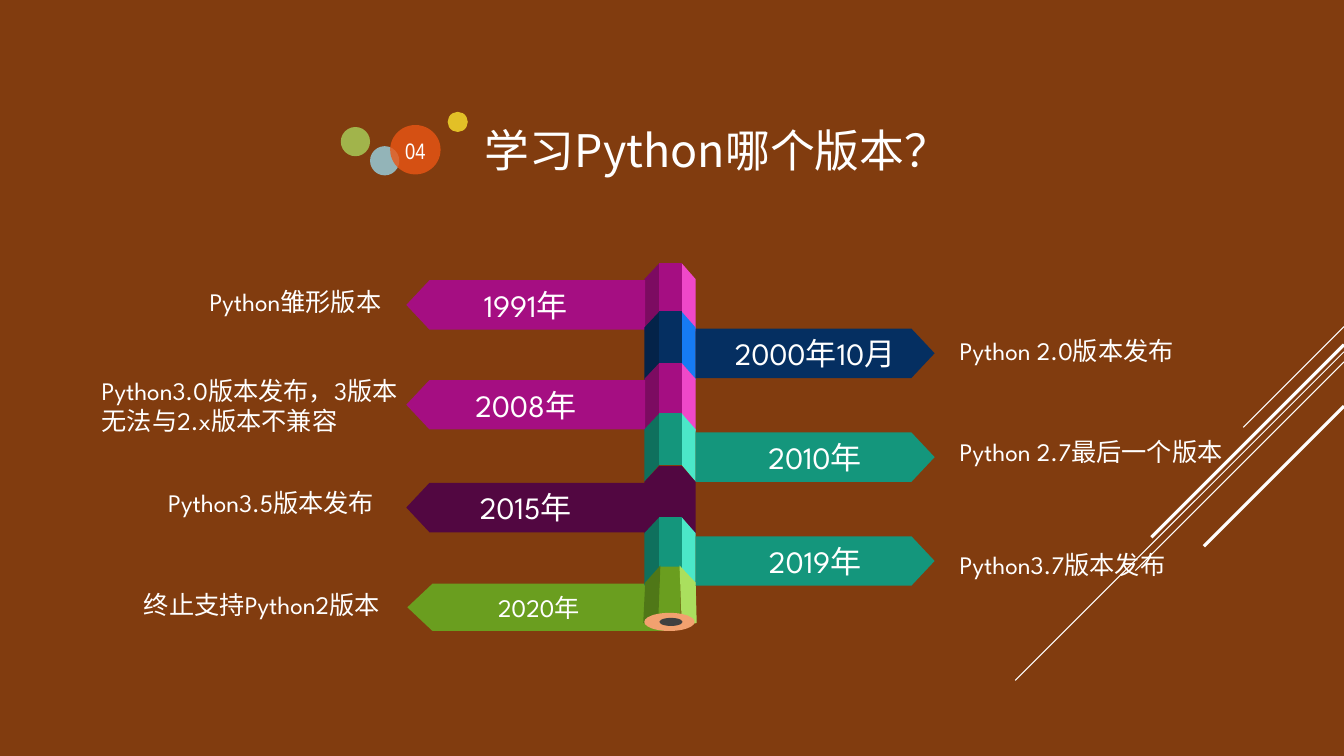
from lxml.etree import SubElement
from pptx import Presentation
from pptx.dml.color import RGBColor
from pptx.enum.shapes import MSO_CONNECTOR, MSO_SHAPE
from pptx.enum.text import MSO_ANCHOR as ANCHOR, MSO_AUTO_SIZE as AUTO, PP_ALIGN as ALIGN
from pptx.oxml.ns import qn
from pptx.util import Inches, Pt

SANS = "Noto Sans CJK SC"
LATIN = "League Spartan"
WHITE = "FFFFFF"
PURPLE = ("7C0B61", "A50E82", "EF48C9")
BLUE = ("042349", "052F61", "167BF3")
TEAL = ("0F705D", "14967C", "4BE7C8")
PLUM = ("520741",) * 3
GREEN = ("4F7717", "6A9E1F", "AADF5E")


def rgb(code):
    return RGBColor.from_string(code)


def write(sp, *runs, size=18, font=LATIN, color=WHITE, align=ALIGN.LEFT,
          anchor=ANCHOR.TOP, wrap=False, inset=(0.1, 0.05), auto=AUTO.NONE):
    tf = sp.text_frame
    tf.word_wrap, tf.auto_size, tf.vertical_anchor = wrap, auto, anchor
    tf.margin_left = tf.margin_right = Inches(inset[0])
    tf.margin_top = tf.margin_bottom = Inches(inset[1])
    p = tf.paragraphs[0]
    p.alignment = align
    for run in runs:
        content, face = run if isinstance(run, tuple) else (run, font)
        r = p.add_run()
        r.text = content
        r.font.size, r.font.name = Pt(size), face
        r.font.color.rgb = rgb(color)
        SubElement(r.font._element, qn("a:ea")).set("typeface", SANS)


class Deck:
    def __init__(self, background):
        self.prs = Presentation()
        self.prs.slide_width, self.prs.slide_height = Inches(13.33), Inches(7.5)
        self.slide = self.prs.slides.add_slide(self.prs.slide_layouts[5])
        self.shapes = self.slide.shapes
        fill = self.slide.background.fill
        fill.solid()
        fill.fore_color.rgb = rgb(background)

    def paint(self, sp, color, alpha=None):
        sp.shadow.inherit = False
        sp.line.fill.background()
        sp.fill.solid()
        sp.fill.fore_color.rgb = rgb(color)
        if alpha:
            clr = sp._element.spPr.find(qn("a:solidFill"))[0]
            SubElement(clr, qn("a:alpha")).set("val", str(alpha * 1000))
        return sp

    def title(self, box, content):
        sp = self.shapes.title
        sp.left, sp.top, sp.width, sp.height = map(Inches, box)
        write(sp, content, size=32, font=SANS)

    def label(self, box, *runs, **fmt):
        sp = self.shapes.add_textbox(*map(Inches, box))
        write(sp, *runs, auto=AUTO.SHAPE_TO_FIT_TEXT, **fmt)

    def line(self, x1, y1, x2, y2, width):
        s = self.shapes.add_connector(MSO_CONNECTOR.STRAIGHT, *map(Inches, (x1, y1, x2, y2)))
        s.line.color.rgb, s.line.width = rgb(WHITE), Pt(width)
        SubElement(s._element.spPr, qn("a:effectLst"))

    def ellipse(self, box, color, alpha=None):
        self.paint(self.shapes.add_shape(MSO_SHAPE.OVAL, *map(Inches, box)), color, alpha)

    def polygon(self, points, color):
        (x, y), *rest = [(Inches(a), Inches(b)) for a, b in points]
        builder = self.shapes.build_freeform(x, y)
        builder.add_line_segments(rest, close=True)
        return self.paint(builder.convert_to_shape(), color)

    def flag(self, base, tip, top, height, notch, color, content, size=22.2):
        shoulder = tip + notch if tip < base else tip - notch
        bottom = top + height
        sp = self.polygon([(base, top), (shoulder, top), (tip, top + height / 2),
                           (shoulder, bottom), (base, bottom)], color)
        write(sp, content, size=size, align=ALIGN.CENTER, anchor=ANCHOR.MIDDLE,
              inset=(0.13, 0.07))

    def segment(self, top, colors):
        left, inner_left, inner_right, right = 6.39, 6.54, 6.76, 6.9
        low = top + 0.51
        for outer, inner, color in ((left, inner_left, colors[0]), (right, inner_right, colors[2])):
            self.polygon([(inner, top), (inner, low), (outer, low + 0.17),
                          (outer, top + 0.16)], color)
        self.polygon([(inner_left, top), (inner_right, top), (inner_right, low),
                      (inner_left, low)], colors[1])

    def pencil_tip(self, colors):
        self.polygon([(6.54, 5.62), (6.75, 5.62), (6.75, 6.13), (6.7, 6.16),
                      (6.65, 6.17), (6.59, 6.16), (6.54, 6.13)], colors[1])
        self.polygon([(6.55, 5.61), (6.53, 6.13), (6.51, 6.16), (6.47, 6.19),
                      (6.43, 6.19), (6.38, 6.18), (6.4, 5.78)], colors[0])
        self.polygon([(6.74, 5.61), (6.76, 6.13), (6.79, 6.16), (6.83, 6.18),
                      (6.87, 6.19), (6.91, 6.18), (6.9, 5.78)], colors[2])
        self.ellipse((6.39, 6.08, 0.5, 0.18), "F2A16F")
        self.ellipse((6.54, 6.13, 0.23, 0.08), "404040")


def main():
    deck = Deck("813C0F")
    edge = 13.33
    for y, run, width in ((3.24, 1, 0.75), (3.49, 3.26, 0.75), (3.59, 2.07, 0.75),
                          (3.42, 1.91, 2.25), (4.03, 1.39, 2.25)):
        deck.line(edge, y, edge - run, y + run, width)

    deck.title((4.71, 1.17, 4.86, 0.64), "学习Python哪个版本？")
    for box, color in (((4.44, 1.11, 0.2, 0.2), "FBE22D"), ((3.38, 1.26, 0.29, 0.29), "A9D25A"),
                       ((3.67, 1.45, 0.29, 0.29), "98D2E3"), ((3.87, 1.24, 0.5, 0.49), "EA5514")):
        deck.ellipse(box, color, alpha=80)
    deck.label((3.94, 1.36, 0.36, 0.27), "04", size=16, font="Arial Narrow",
               align=ALIGN.CENTER, wrap=True, inset=(0, 0))

    deck.flag(6.65, 4.04, 5.79, 0.47, 0.25, GREEN[1], "2020年", size=18)
    releases = (
        ("1991年", 2.61, 2.78, PURPLE, "left"),
        ("2000年10月", 3.09, 3.26, BLUE, "right"),
        ("2008年", 3.6, 3.77, PURPLE, "left"),
        ("2010年", 4.1, 4.29, TEAL, "right"),
        ("2015年", 4.62, 4.79, PLUM, "left"),
        ("2019年", 5.13, 5.32, TEAL, "right"),
    )
    sides = {"left": (6.4, 4.03), "right": (6.9, 9.27)}
    for date, segment_top, flag_top, colors, side in releases:
        deck.segment(segment_top, colors)
        deck.flag(*sides[side], flag_top, 0.49, 0.23, colors[1], date)
    deck.pencil_tip(GREEN)

    for box, *runs in (
        ((1.98, 2.79, 2.05, 0.4), "Python雏形版本"),
        ((9.42, 3.28, 2.48, 0.4), "Python 2.0版本发布"),
        ((9.42, 4.28, 2.98, 0.4), "Python 2.7最后一个版本"),
        ((1.57, 4.79, 2.41, 0.4), "Python3.5版本发布"),
        ((9.42, 5.4, 2.41, 0.4), "Python3.7版本发布"),
        ((1.33, 5.8, 2.7, 0.4), ("终止支持", "Arial"), "Python2版本"),
    ):
        deck.label(box, *runs)
    deck.label((0.91, 3.67, 3.15, 0.71), "Python3.0版本发布，3版本无法与2.x版本不兼容", wrap=True)
    deck.prs.save("out.pptx")


if __name__ == "__main__":
    main()
